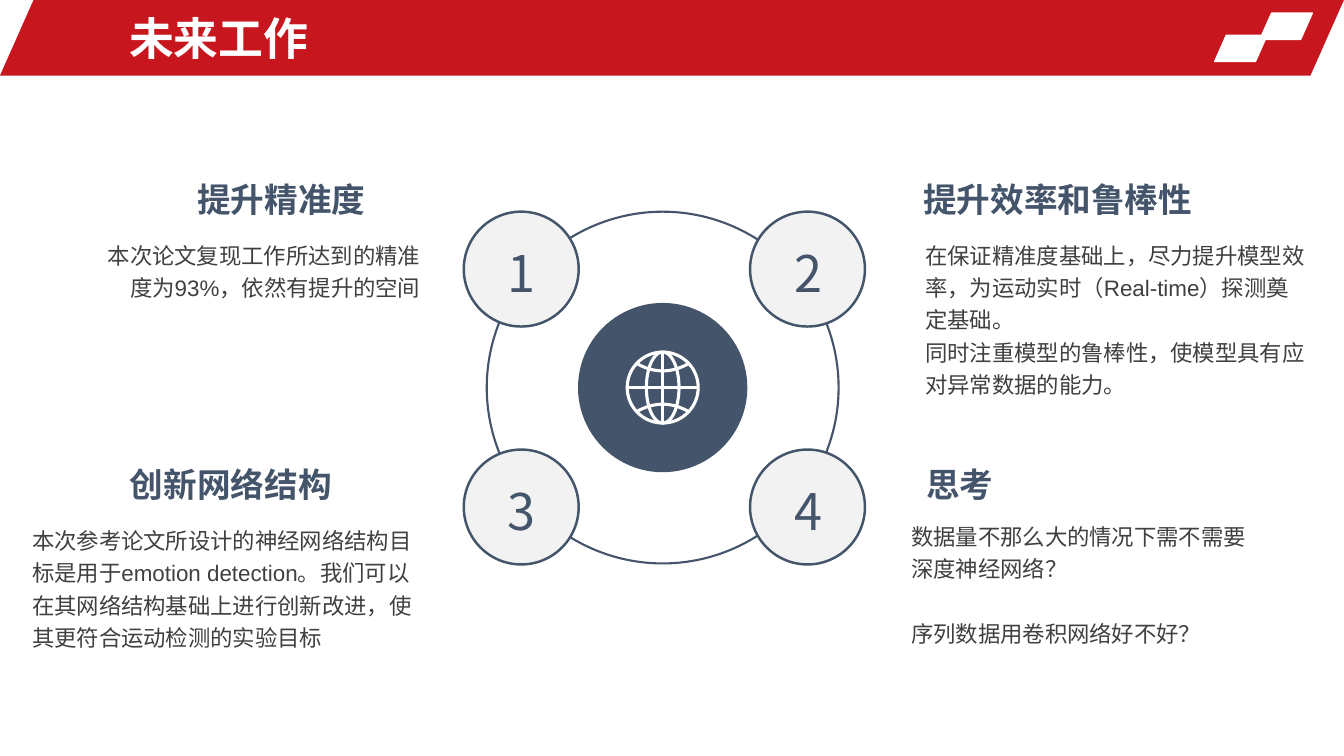
import math
from dataclasses import dataclass

import pptx
import pptx.dml.color
import pptx.enum.shapes
import pptx.enum.text
import pptx.oxml
import pptx.oxml.ns
import pptx.util

SHAPE = pptx.enum.shapes.MSO_SHAPE
ALIGN = pptx.enum.text.PP_ALIGN
ANCHOR = pptx.enum.text.MSO_ANCHOR
AUTO_SIZE = pptx.enum.text.MSO_AUTO_SIZE

WIDTH = pptx.util.Inches(13.33)
HEIGHT = pptx.util.Inches(7.5)
COLUMN = WIDTH / 100
ROW = HEIGHT / 100


@dataclass(frozen=True)
class Theme:
    red: str = "C8161E"
    navy: str = "44546A"
    pale: str = "F2F2F2"
    white: str = "FFFFFF"
    ink: str = "404040"
    latin: str = "Arial"
    chinese: str = "Noto Sans CJK SC"
    title: int = 32
    heading: int = 24
    body: int = 16
    number: int = 36


THEME = Theme()
HUB = (49.31, 51.27)
BADGES = {"1": (38.78, 35.6), "2": (60.08, 35.6),
          "3": (38.78, 67.07), "4": (60.08, 67.07)}
HEADING_HEIGHT = 6.67

# Heading, its box, body paragraphs, their box, body alignment
TOPICS = [
    ("提升精准度", (13.95, 23.07, 14.1, HEADING_HEIGHT),
     ["本次论文复现工作所达到的精准度为93%，依然有提升的空间"],
     (5.85, 30.67, 26.18, 9.6), ALIGN.RIGHT, 0),
    ("提升效率和鲁棒性", (67.95, 23.07, 22.12, HEADING_HEIGHT),
     ["在保证精准度基础上，尽力提升模型效率，为运动实时（Real-time）探测奠定基础。",
      "同时注重模型的鲁棒性，使模型具有应对异常数据的能力。"],
     (68.1, 30.67, 29.92, 22.53), ALIGN.LEFT, 0),
    ("创新网络结构", (8.93, 60.67, 16.65, HEADING_HEIGHT),
     ["本次参考论文所设计的神经网络结构目标是用于emotion detection。"
      "我们可以在其网络结构基础上进行创新改进，使其更符合运动检测的实验目标"],
     (1.65, 68.4, 29.92, 18.13), ALIGN.LEFT, 0),
    ("思考", (68.18, 60.67, 6.6, HEADING_HEIGHT),
     ["数据量不那么大的情况下需不需要深度神经网络？", "序列数据用卷积网络好不好？"],
     (67.05, 67.87, 27.6, 18.27), ALIGN.LEFT, 23),
]


def apply(target, values):
    for attribute, value in values.items():
        setattr(target, attribute, value)


def grid(left, top, width, height):
    return [round(v) for v in
            (left * COLUMN, top * ROW, width * COLUMN, height * ROW)]


def rgb(value):
    return pptx.dml.color.RGBColor.from_string(value)


def paint(shape, fill=None, line=None, weight=1):
    shape.shadow.inherit = False
    if fill:
        shape.fill.solid()
        shape.fill.fore_color.rgb = rgb(fill)
    else:
        shape.fill.background()
    if line:
        shape.line.color.rgb = rgb(line)
        shape.line.width = pptx.util.Pt(weight)
    else:
        shape.line.fill.background()


def write(paragraph, text, size, color, bold=False, latin=THEME.latin):
    run = paragraph.add_run()
    run.text = text
    apply(run.font, {"size": pptx.util.Pt(size), "bold": bold, "name": latin})
    run.font.color.rgb = rgb(color)
    east_asian = pptx.oxml.parse_xml(
        f'<a:ea {pptx.oxml.ns.nsdecls("a")} typeface="{THEME.chinese}"/>')
    run.font._element.append(east_asian)


def add_text(slide, box, paragraphs, wrap=True, align=ALIGN.LEFT,
             spacing=1.0, gap=0, **style):
    frame = slide.shapes.add_textbox(*grid(*box)).text_frame
    apply(frame, {"word_wrap": wrap, "auto_size": AUTO_SIZE.SHAPE_TO_FIT_TEXT})
    for index, text in enumerate(paragraphs):
        paragraph = frame.add_paragraph() if index else frame.paragraphs[0]
        apply(paragraph, {"alignment": align, "line_spacing": spacing,
                          "space_before": pptx.util.Pt(gap if index else 0)})
        write(paragraph, text, **style)


def add_slant(slide, box, **colors):
    slant = slide.shapes.add_shape(SHAPE.PARALLELOGRAM, *grid(*box))
    slant.adjustments[0] = 0.444
    paint(slant, **colors)


def add_circle(slide, center, diameter, **colors):
    """Diameter is a share of the slide's width."""
    size = round(diameter * COLUMN)
    left = round(center[0] * COLUMN - size / 2)
    top = round(center[1] * ROW - size / 2)
    circle = slide.shapes.add_shape(SHAPE.OVAL, left, top, size, size)
    paint(circle, **colors)


def add_globe(slide, center, radius):
    """Draw the rim, meridians and parallels as one outline."""
    def ellipse(ratio):
        angles = [math.radians(a) for a in range(0, 361, 5)]
        return [(ratio * math.cos(a), math.sin(a)) for a in angles]

    def parallel(side):
        steps = [i / 10 for i in range(-10, 11)]
        return [(0.72 * s, side * (0.47 + 0.2 * s * s)) for s in steps]

    outlines = [ellipse(1), ellipse(0.46), [(0, -1), (0, 1)],
                [(-1, 0), (1, 0)], parallel(-1), parallel(1)]

    def locate(point):
        return (round(center[0] * COLUMN + point[0] * radius * COLUMN),
                round(center[1] * ROW + point[1] * radius * COLUMN))

    builder = slide.shapes.build_freeform(*locate(outlines[0][0]))
    for outline in outlines:
        points = [locate(point) for point in outline]
        builder.move_to(*points[0])
        builder.add_line_segments(points[1:], close=False)
    paint(builder.convert_to_shape(), line=THEME.white, weight=2.2)


def add_title_bar(slide, text):
    add_slant(slide, (0, 0, 100, 10), fill=THEME.red)
    for left, top in ((93.75, 1.73), (90.38, 4.67)):
        add_slant(slide, (left, top, 3.9, 3.47),
                  fill=THEME.white, line=THEME.white)
    title = slide.shapes.title
    title.element.getparent().append(title.element)
    apply(title, dict(zip(("left", "top", "width", "height"),
                          grid(8.85, 0.67, 58.05, 8.67))))
    apply(title.text_frame, {"vertical_anchor": ANCHOR.MIDDLE,
                             "auto_size": AUTO_SIZE.NONE, "word_wrap": True})
    paragraph = title.text_frame.paragraphs[0]
    paragraph.alignment = ALIGN.LEFT
    write(paragraph, text, THEME.title, THEME.white, bold=True)


def add_topic(slide, heading, heading_box, body, body_box, align, gap):
    add_text(slide, heading_box, [heading], wrap=False,
             size=THEME.heading, color=THEME.navy, bold=True)
    add_text(slide, body_box, body, align=align, spacing=1.2, gap=gap,
             size=THEME.body, color=THEME.ink)


def add_badge(slide, number, center):
    add_circle(slide, center, 8.55, fill=THEME.pale, line=THEME.navy, weight=1.75)
    add_text(slide, (center[0] - 1.73, center[1] - 4.27, 9.75, 9.47), [number],
             size=THEME.number, color=THEME.navy, latin=THEME.chinese)


def main():
    deck = pptx.Presentation()
    apply(deck, {"slide_width": WIDTH, "slide_height": HEIGHT})
    slide = deck.slides.add_slide(deck.slide_layouts.get_by_name("Title Only"))
    add_title_bar(slide, "未来工作")
    for topic in TOPICS:
        add_topic(slide, *topic)
    add_circle(slide, HUB, 12.6, fill=THEME.navy)
    add_circle(slide, HUB, 26.18, line=THEME.navy, weight=1.5)
    for number, center in BADGES.items():
        add_badge(slide, number, center)
    add_globe(slide, HUB, 2.64)
    deck.save("out.pptx")


if __name__ == "__main__":
    main()
